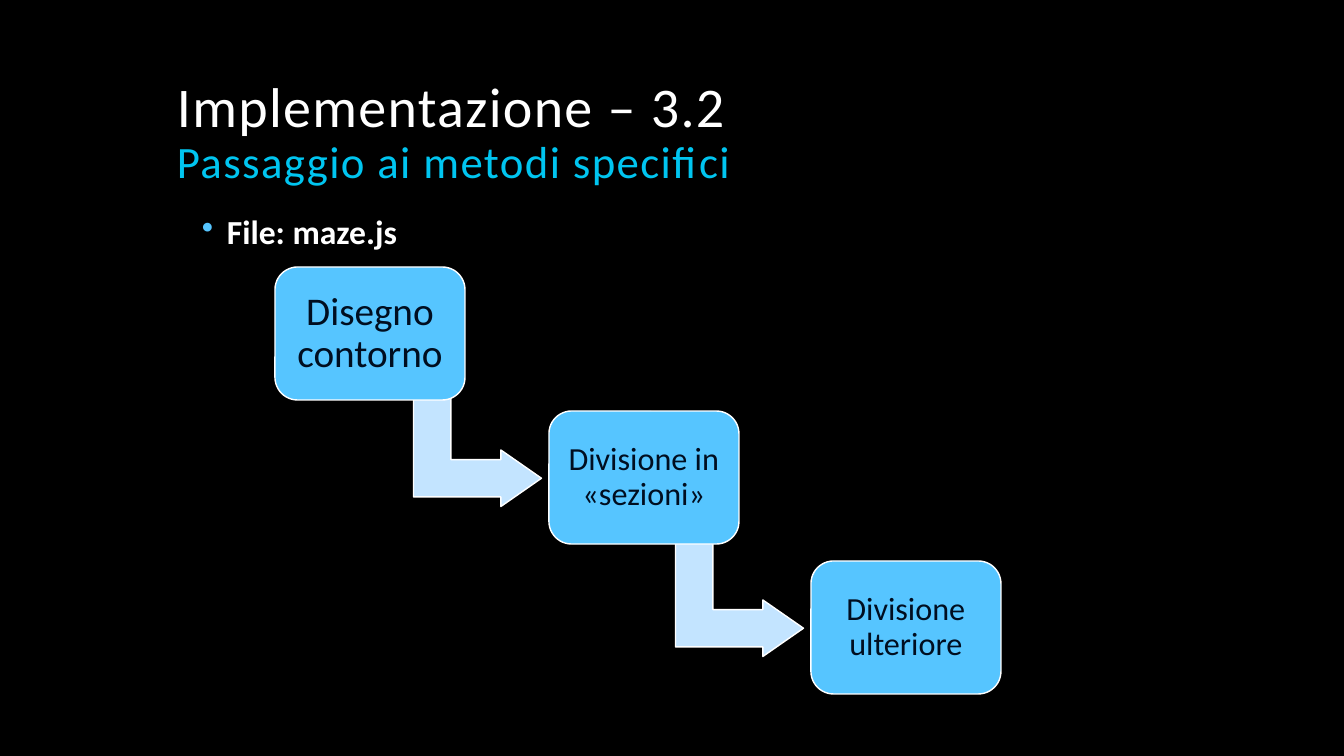
import pptx
import pptx.util
import pptx.dml.color
import pptx.enum.shapes
import pptx.enum.text
import lxml.etree

# Content
TITLE = [("Implementazione – 3.2", 40, "white"),
         ("Passaggio ai metodi specifici", 32, "cyan")]
FILE = [("File: maze.js", 24, "white")]
# text, type size, inset, left, top
STEPS = [("Disegno contorno", 28, 12, 275, 267),
         ("Divisione in «sezioni»", 23, 10, 549, 411),
         ("Divisione ulteriore", 23, 10, 811, 561)]

# Theme and sizes in px
THEME = {"font": "Calibri", "black": "000000", "white": "FFFFFF",
         "cyan": "00C5F0", "blue": "56C5FF", "pale": "C3E4FF",
         "ink": "000E20"}
WIDE, HIGH = 1344, 756
BOX = (190, 133)
ARROW = (113, 128)
SHIFT = (-128, -25)  # arrow from the box it points to

KIND = pptx.enum.shapes.MSO_SHAPE
ANCHOR = pptx.enum.text.MSO_ANCHOR
ALIGN = pptx.enum.text.PP_ALIGN


def px(n):
    return pptx.util.Emu(round(n * 914400 / 100.8))


def hue(name):
    return pptx.dml.color.RGBColor.from_string(THEME[name])


def write(shape, runs, anchor=ANCHOR.TOP, align=ALIGN.LEFT, inset=(10, 5),
          bold=False, track=0, bullet=None):
    frame = shape.text_frame
    frame.word_wrap = True
    frame.vertical_anchor = anchor
    frame.margin_left = frame.margin_right = px(inset[0])
    frame.margin_top = frame.margin_bottom = px(inset[1])
    para = frame.paragraphs[0]
    para.alignment = align
    para.line_spacing = 0.9
    for i, (text, size, color) in enumerate(runs):
        if i:
            para.add_line_break()
        run = para.add_run()
        run.text = text
        font = run.font
        font.name = THEME["font"]
        font.size = pptx.util.Pt(size)
        font.bold = bold
        font.color.rgb = hue(color)
        if track:
            run._r.get_or_add_rPr().set("spc", str(track))
    if bullet:
        props = para._p.get_or_add_pPr()
        props.set("marL", str(px(51)))
        props.set("indent", str(px(-25)))
        space = "{http://schemas.openxmlformats.org/drawingml/2006/main}"
        tint = lxml.etree.SubElement(props, space + "buClr")
        lxml.etree.SubElement(tint, space + "srgbClr", val=THEME[bullet])
        lxml.etree.SubElement(props, space + "buChar", char="•")


def draw(slide, kind, left, top, size, color, adjust):
    shape = slide.shapes.add_shape(kind, px(left), px(top), *map(px, size))
    shape.shadow.inherit = False
    shape.fill.solid()
    shape.fill.fore_color.rgb = hue(color)
    shape.line.color.rgb = hue("white")
    shape.line.width = pptx.util.Pt(1)
    for i, value in enumerate(adjust):
        shape.adjustments[i] = value
    return shape


def main():
    deck = pptx.Presentation()
    deck.slide_width, deck.slide_height = px(WIDE), px(HIGH)
    slide = deck.slides.add_slide(deck.slide_layouts[6])
    slide.background.fill.solid()
    slide.background.fill.fore_color.rgb = hue("black")

    # Heading and file name
    head = slide.shapes.add_textbox(*map(px, (167, 42, 1008, 151)))
    write(head, TITLE, anchor=ANCHOR.BOTTOM, track=100)
    body = slide.shapes.add_textbox(*map(px, (166, 210, 1053, 454)))
    write(body, FILE, bold=True, bullet="blue")

    # Arrows lie behind the boxes
    for *_, left, top in STEPS[1:]:
        arrow = draw(slide, KIND.BENT_UP_ARROW, left + SHIFT[0],
                     top + SHIFT[1], ARROW, "pale", (0.33, 0.25, 0.36))
        arrow.rotation = 90

    # Steps
    for text, size, inset, left, top in STEPS:
        box = draw(slide, KIND.ROUNDED_RECTANGLE, left, top, BOX, "blue",
                   (0.17,))
        write(box, [(text, size, "ink")], anchor=ANCHOR.MIDDLE,
              align=ALIGN.CENTER, inset=(inset, inset))

    deck.save("out.pptx")


if __name__ == "__main__":
    main()
